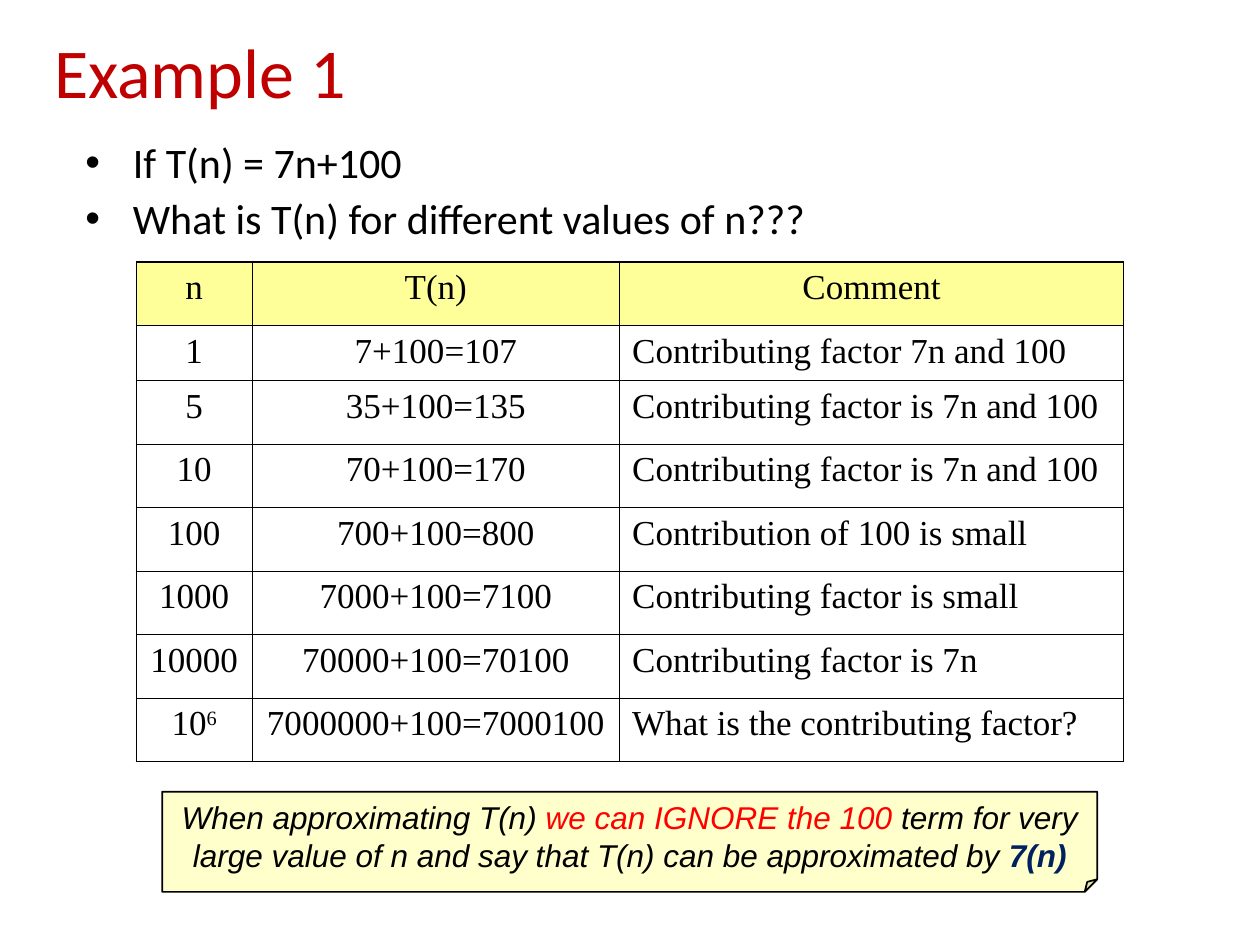
"""Build the Example 1 slide on the growth of T(n) = 7n+100."""
from dataclasses import dataclass

from lxml.etree import SubElement
from pptx import Presentation
from pptx.dml.color import RGBColor
from pptx.enum.shapes import MSO_SHAPE
from pptx.enum.text import MSO_ANCHOR, PP_ALIGN
from pptx.oxml.ns import qn
from pptx.util import Cm, Pt

BLACK = RGBColor(0x00, 0x00, 0x00)
DARK_RED = RGBColor(0xC0, 0x00, 0x00)
RED = RGBColor(0xFF, 0x00, 0x00)
NAVY = RGBColor(0x00, 0x20, 0x60)
YELLOW = RGBColor(0xFF, 0xFF, 0x99)

THIN, THICK = Pt(0.45), Pt(1.08)


@dataclass(frozen=True)
class Style:
    font: str
    size: int
    color: RGBColor = BLACK
    bold: bool = False
    italic: bool = False


@dataclass(frozen=True)
class Row:
    n: str
    total: str
    comment: str
    height: float = 1.28
    power: str = ""


TITLE = Style("Calibri", 40, DARK_RED)
BODY = Style("Calibri", 24)
CELL = Style("Times New Roman", 20)
NOTE = Style("Arial", 18, italic=True)
NOTE_RED = Style("Arial", 18, RED, italic=True)
NOTE_NAVY = Style("Arial", 18, NAVY, bold=True, italic=True)

BULLETS = ["If T(n) = 7n+100", "What is T(n) for different values of n???"]

COLUMN_WIDTHS = [2.33, 7.41, 10.16]
ROWS = [
    Row("n", "T(n)", "Comment"),
    Row("1", "7+100=107", "Contributing factor 7n and 100", height=1.11),
    Row("5", "35+100=135", "Contributing factor is 7n and 100"),
    Row("10", "70+100=170", "Contributing factor is 7n and 100"),
    Row("100", "700+100=800", "Contribution of 100 is small"),
    Row("1000", "7000+100=7100", "Contributing factor is small"),
    Row("10000", "70000+100=70100", "Contributing factor is 7n"),
    Row("10", "7000000+100=7000100", "What is the contributing factor?", power="6"),
]

NOTE_RUNS = [
    ("When approximating T(n) ", NOTE),
    ("we can IGNORE the 100", NOTE_RED),
    (" term for very large value of n and say that T(n) can be approximated by ", NOTE),
    ("7(n)", NOTE_NAVY),
]


def add_run(p, text: str, style: Style):
    r = p.add_run()
    r.text = text
    r.font.name = style.font
    r.font.size = Pt(style.size)
    r.font.bold = style.bold
    r.font.italic = style.italic
    r.font.color.rgb = style.color
    return r


def add_title(slide, text: str) -> None:
    sp = slide.shapes.title
    sp.left, sp.top, sp.width, sp.height = Cm(0.84), Cm(0.43), Cm(22.86), Cm(1.98)
    tf = sp.text_frame
    tf.vertical_anchor = MSO_ANCHOR.MIDDLE
    p = tf.paragraphs[0]
    p.alignment = PP_ALIGN.LEFT
    add_run(p, text, TITLE)


def add_bullets(slide, lines: list[str]) -> None:
    tf = slide.shapes.add_textbox(Cm(1.47), Cm(2.74), Cm(22.66), Cm(2.34)).text_frame
    tf.word_wrap = True
    for i, line in enumerate(lines):
        p = tf.add_paragraph() if i else tf.paragraphs[0]
        p.line_spacing = 0.9
        p.space_before = Pt(6)
        pPr = p._p.get_or_add_pPr()
        pPr.set("marL", str(Cm(0.96)))
        pPr.set("indent", str(-Cm(0.96)))
        SubElement(pPr, qn("a:buFont"), typeface="Arial")
        SubElement(pPr, qn("a:buChar"), char="•")
        add_run(p, line, BODY)


def set_borders(cell, widths: dict[str, int]) -> None:
    tcPr = cell._tc.get_or_add_tcPr()
    for i, (side, width) in enumerate(widths.items()):
        ln = SubElement(tcPr, qn(f"a:ln{side}"), w=str(width))
        fill = SubElement(ln, qn("a:solidFill"))
        SubElement(fill, qn("a:srgbClr"), val=str(BLACK))
        tcPr.insert(i, ln)


def add_growth_table(slide, rows: list[Row]) -> None:
    last_row, last_col = len(rows) - 1, len(COLUMN_WIDTHS) - 1
    frame = slide.shapes.add_table(
        len(rows), len(COLUMN_WIDTHS), Cm(2.75), Cm(5.28),
        Cm(sum(COLUMN_WIDTHS)), Cm(sum(row.height for row in rows)),
    )
    table = frame.table
    table.first_row = table.horz_banding = False
    for column, width in zip(table.columns, COLUMN_WIDTHS):
        column.width = Cm(width)
    for i, row in enumerate(rows):
        table.rows[i].height = Cm(row.height)
        for j, text in enumerate((row.n, row.total, row.comment)):
            cell = table.cell(i, j)
            if i == 0:
                cell.fill.solid()
                cell.fill.fore_color.rgb = YELLOW
            else:
                cell.fill.background()
            set_borders(cell, {
                "L": THICK if j == 0 else THIN,
                "R": THICK if j == last_col else THIN,
                "T": THICK if i == 0 else THIN,
                "B": THICK if i == last_row else THIN,
            })
            p = cell.text_frame.paragraphs[0]
            p.space_before = Pt(5)
            p.alignment = PP_ALIGN.LEFT if i and j == last_col else PP_ALIGN.CENTER
            add_run(p, text, CELL)
            if j == 0 and row.power:
                r = add_run(p, row.power, CELL)
                r._r.get_or_add_rPr().set("baseline", "30000")


def add_note(slide, runs: list[tuple[str, Style]]) -> None:
    sp = slide.shapes.add_shape(
        MSO_SHAPE.FOLDED_CORNER, Cm(3.27), Cm(15.96), Cm(18.85), Cm(2.02))
    spPr = sp._element.spPr
    guides = spPr.find(qn("a:prstGeom")).find(qn("a:avLst"))
    SubElement(guides, qn("a:gd"), name="adj", fmla="val 12500")
    sp.shadow.inherit = False
    sp.fill.solid()
    sp.fill.fore_color.rgb = YELLOW
    color = spPr.find(qn("a:solidFill")).find(qn("a:srgbClr"))
    SubElement(color, qn("a:alpha"), val="50000")
    sp.line.color.rgb = BLACK
    sp.line.width = Pt(1)
    tf = sp.text_frame
    tf.word_wrap = True
    tf.vertical_anchor = MSO_ANCHOR.MIDDLE
    p = tf.paragraphs[0]
    p.alignment = PP_ALIGN.CENTER
    for text, style in runs:
        add_run(p, text, style)


def main() -> None:
    prs = Presentation()
    prs.slide_width, prs.slide_height = Cm(25.4), Cm(19.05)
    s = prs.slides.add_slide(prs.slide_layouts[5])
    add_title(s, "Example 1")
    add_bullets(s, BULLETS)
    add_growth_table(s, ROWS)
    add_note(s, NOTE_RUNS)
    prs.save("out.pptx")


if __name__ == "__main__":
    main()
